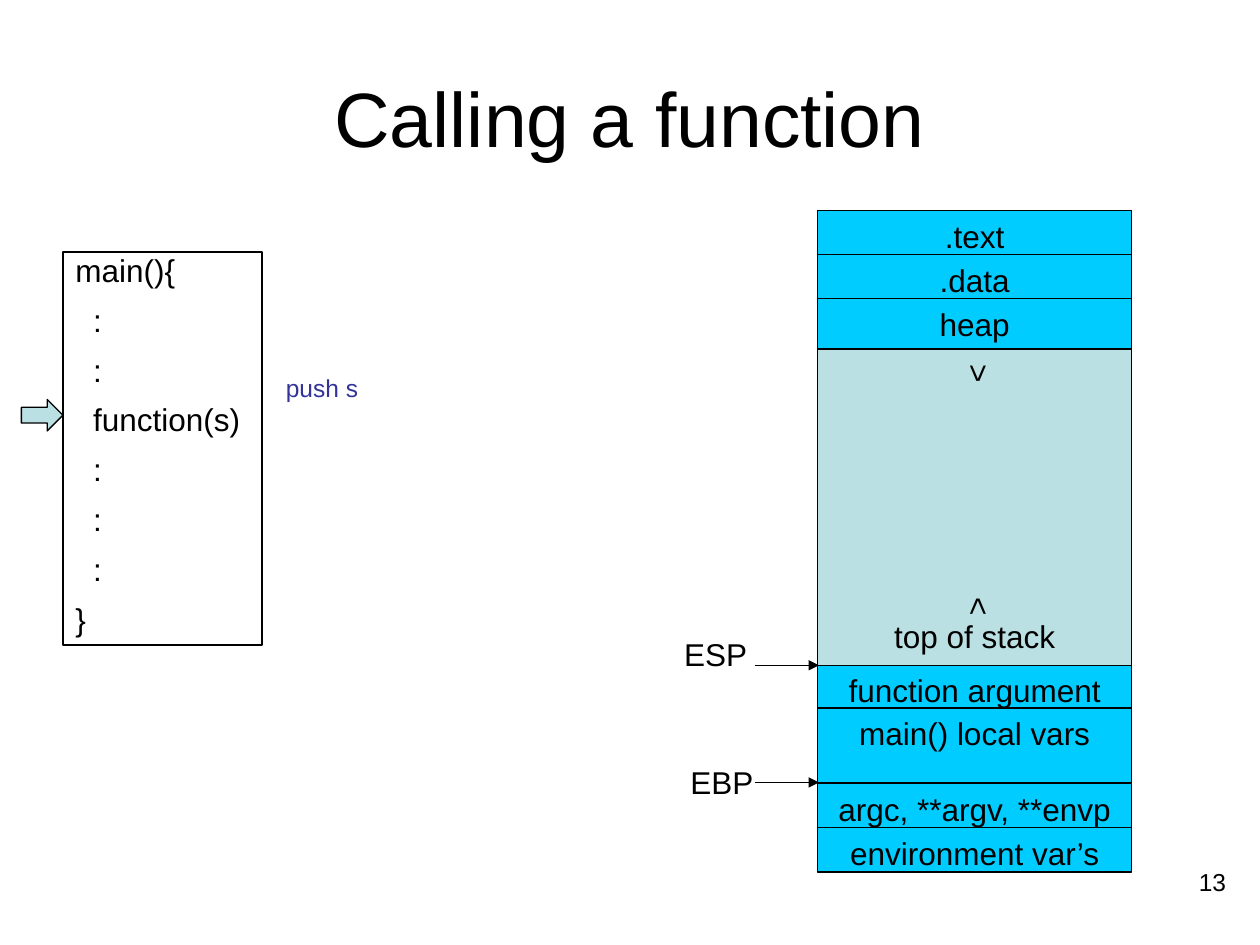
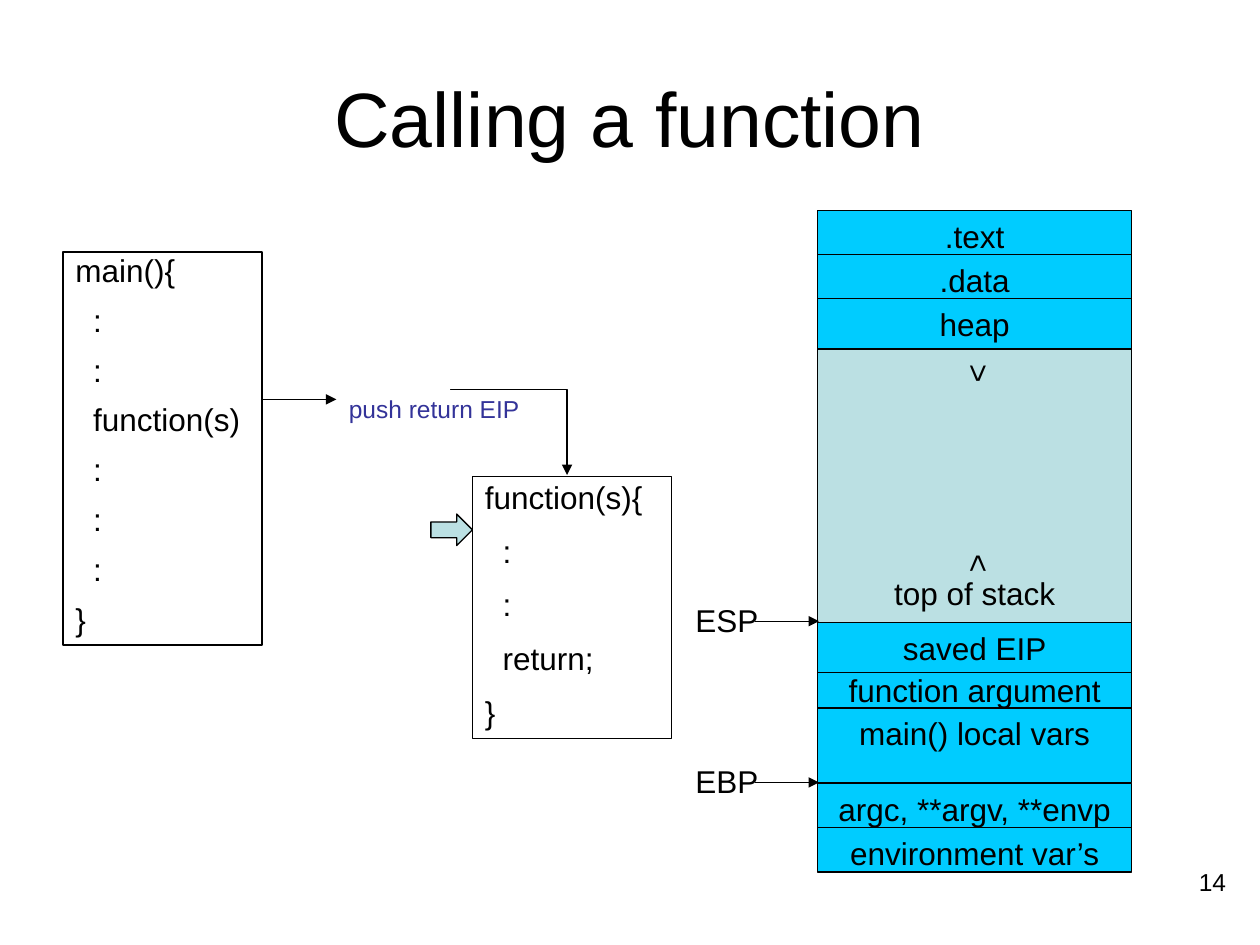
from dataclasses import dataclass

from lxml import etree
from pptx import Presentation
from pptx import util as u
from pptx.dml.color import RGBColor
from pptx.enum import shapes, text
from pptx.oxml import ns


@dataclass(frozen=True)
class Theme:
    font: str = "Arial"
    ink: str = "000000"
    note: str = "333399"
    used: str = "00CCFF"
    free: str = "BBE0E3"
    title_size: float = 44
    body_size: float = 18
    small_size: float = 14
    line_width: float = 0.75
    body_gap: float = 11.2
    small_gap: float = 8.8


THEME = Theme()
STACK_LEFT, STACK_WIDTH = 6.49, 2.49
SEGMENT_STEP, SEGMENT_HEIGHT = 0.35, 0.4
INDENT = 0.14
LEFT, CENTER, RIGHT = text.PP_ALIGN.LEFT, text.PP_ALIGN.CENTER, text.PP_ALIGN.RIGHT


@dataclass(frozen=True)
class Box:
    left: float
    top: float
    width: float
    height: float

    def lengths(self) -> tuple:
        return tuple(u.Inches(v) for v in (self.left, self.top, self.width, self.height))


@dataclass(frozen=True)
class Style:
    align: text.PP_ALIGN = CENTER
    size: float = THEME.body_size
    color: str = THEME.ink
    gap: float = THEME.body_gap
    spacing: float = 1.0
    grow: bool = True
    wrap: bool = True


@dataclass(frozen=True)
class Segment:
    label: str
    top: float
    height: float = SEGMENT_HEIGHT
    grow: bool = True


@dataclass(frozen=True)
class Listing:
    box: Box
    head: str
    body: tuple
    spacing: float


@dataclass(frozen=True)
class Pointer:
    label: str
    label_left: float
    label_top: float
    line_y: float


@dataclass(frozen=True)
class Step:
    number: int
    listings: tuple
    marker: Box
    note: str
    note_box: Box
    stack_top: float
    pushed: tuple
    pointers: tuple


NUMBER_STYLE = Style(align=RIGHT, size=THEME.small_size, gap=0, grow=False)
NOTE_STYLE = Style(align=LEFT, size=THEME.small_size, color=THEME.note,
                   gap=THEME.small_gap, spacing=0.3)

LOADED = tuple(Segment(label, 1.67 + i * SEGMENT_STEP)
               for i, label in enumerate((".text", ".data", "heap")))
STARTUP = tuple(Segment(label, 6.22 + i * SEGMENT_STEP, SEGMENT_STEP, False)
                for i, label in enumerate(("argc, **argv, **envp", "environment var’s")))
ARGUMENT = Segment("function argument", 5.28)
SAVED_EIP = Segment("saved EIP", 4.94)
LOCALS = Segment("main() local vars", 5.62, 0.59, False)

CALLER = Listing(Box(0.5, 2, 1.58, 3.12), "main(){",
                 (":", ":", "function(s)", ":", ":", ":"), 0.8)
CALLEE = Listing(Box(3.75, 3.78, 1.58, 2.08), "function(s){",
                 (":", ":", "return;"), 0.9)

STEPS = (
    Step(13, (CALLER,), Box(0.17, 3.17, 0.33, 0.25),
         "push s", Box(2.17, 3.05, 1.08, 0.17), 5.28, (ARGUMENT, LOCALS),
         (Pointer("ESP", 5.33, 4.99, 5.28), Pointer("EBP", 5.38, 6.01, 6.21))),
    Step(14, (CALLER, CALLEE), Box(3.42, 4.08, 0.33, 0.25),
         "push return EIP", Box(2.67, 3.22, 1.75, 0.17), 4.94,
         (ARGUMENT, SAVED_EIP, LOCALS),
         (Pointer("ESP", 5.42, 4.72, 4.93), Pointer("EBP", 5.42, 6, 6.21))),
)


def add_run(paragraph, words: str, size: float, color: str) -> None:
    run = paragraph.add_run()
    run.text = words
    run.font.name = THEME.font
    run.font.size = u.Pt(size)
    run.font.color.rgb = RGBColor.from_string(color)


def write(frame, lines: tuple, style: Style, indented: range = range(0)) -> None:
    frame.word_wrap = style.wrap
    frame.vertical_anchor = text.MSO_ANCHOR.TOP
    frame.auto_size = (text.MSO_AUTO_SIZE.SHAPE_TO_FIT_TEXT if style.grow
                       else text.MSO_AUTO_SIZE.NONE)
    for i, words in enumerate(lines):
        paragraph = frame.add_paragraph() if i else frame.paragraphs[0]
        paragraph.alignment = style.align
        paragraph.space_before = u.Pt(style.gap)
        paragraph.line_spacing = style.spacing
        if i in indented:
            paragraph._p.get_or_add_pPr().set("marL", str(u.Inches(INDENT)))
        add_run(paragraph, words, style.size, style.color)


def add_block(slide, box: Box, fill: str | None = None,
              kind: shapes.MSO_SHAPE = shapes.MSO_SHAPE.RECTANGLE):
    block = slide.shapes.add_shape(kind, *box.lengths())
    block.shadow.inherit = False
    if fill:
        block.fill.solid()
        block.fill.fore_color.rgb = RGBColor.from_string(fill)
    else:
        block.fill.background()
    block.line.color.rgb = RGBColor.from_string(THEME.ink)
    block.line.width = u.Pt(THEME.line_width)
    return block


def add_label(slide, words: str, box: Box, style: Style = Style()):
    label = slide.shapes.add_textbox(*box.lengths())
    write(label.text_frame, (words,), style)
    return label


def add_growth_mark(slide, sign: str, top: float) -> None:
    mark = add_label(slide, sign, Box(7.48, top, 0.5, 0.35), Style(align=LEFT))
    frame = mark.text_frame
    frame.margin_left = frame.margin_right = u.Inches(0.05)
    frame.margin_top = frame.margin_bottom = u.Inches(0.1)
    frame._txBody.bodyPr.set("vert", "eaVert")


def add_arrow(slide, start: tuple, end: tuple,
              kind: shapes.MSO_CONNECTOR = shapes.MSO_CONNECTOR.STRAIGHT):
    arrow = slide.shapes.add_connector(kind, *(u.Inches(v) for v in (*start, *end)))
    arrow.line.color.rgb = RGBColor.from_string(THEME.ink)
    arrow.line.width = u.Pt(THEME.line_width)
    etree.SubElement(arrow.line._get_or_add_ln(), ns.qn("a:tailEnd"), type="triangle")
    etree.SubElement(arrow._element.spPr, ns.qn("a:effectLst"))
    return arrow


def add_call_path(slide) -> None:
    add_arrow(slide, (2.08, 3.17), (2.67, 3.17))
    jump = add_arrow(slide, (4.38, 2.97), (3.7, 3.89), shapes.MSO_CONNECTOR.ELBOW)
    properties = jump._element.spPr
    properties.find(ns.qn("a:xfrm")).set("rot", "16200000")
    adjustments = properties.find(ns.qn("a:prstGeom")).find(ns.qn("a:avLst"))
    etree.SubElement(adjustments, ns.qn("a:gd"), name="adj1", fmla="val -200")


def add_listing(slide, listing: Listing) -> None:
    lines = (listing.head, *listing.body, "}")
    block = add_block(slide, listing.box)
    write(block.text_frame, lines, Style(align=LEFT, spacing=listing.spacing),
          range(1, len(lines) - 1))


def add_segment(slide, segment: Segment) -> None:
    block = add_block(slide, Box(STACK_LEFT, segment.top, STACK_WIDTH, segment.height),
                      THEME.used)
    write(block.text_frame, (segment.label,), Style(grow=segment.grow))


def add_stack(slide, step: Step) -> None:
    free_top = 2.72
    add_block(slide, Box(STACK_LEFT, free_top, STACK_WIDTH, step.stack_top - free_top),
              THEME.free)
    for segment in LOADED:
        add_segment(slide, segment)
    add_label(slide, "top of stack",
              Box(STACK_LEFT, step.stack_top - 0.43, STACK_WIDTH, SEGMENT_HEIGHT))
    add_growth_mark(slide, "<", step.stack_top - 0.64)
    add_growth_mark(slide, ">", 2.79)
    for pointer in step.pointers:
        add_label(slide, pointer.label,
                  Box(pointer.label_left, pointer.label_top, 0.7, 0.4), Style(wrap=False))
        add_arrow(slide, (5.99, pointer.line_y), (6.5, pointer.line_y))
    for segment in (*STARTUP, *step.pushed):
        add_segment(slide, segment)


def add_title(slide, words: str) -> None:
    title = slide.shapes.title
    title.left, title.top, title.width, title.height = Box(0.5, 0.3, 9, 1.25).lengths()
    title.text_frame.vertical_anchor = text.MSO_ANCHOR.MIDDLE
    heading = title.text_frame.paragraphs[0]
    heading.alignment = CENTER
    add_run(heading, words, THEME.title_size, THEME.ink)


def add_step(deck, step: Step) -> None:
    slide = deck.slides.add_slide(deck.slide_layouts[5])
    add_title(slide, "Calling a function")
    for listing in step.listings:
        add_listing(slide, listing)
    if CALLEE in step.listings:
        add_call_path(slide)
    add_label(slide, step.note, step.note_box, NOTE_STYLE)
    add_label(slide, str(step.number), Box(7.5, 6.83, 2.33, 0.52), NUMBER_STYLE)
    add_block(slide, step.marker, THEME.free, shapes.MSO_SHAPE.RIGHT_ARROW)
    add_stack(slide, step)


def main() -> None:
    deck = Presentation()
    deck.slide_width, deck.slide_height = u.Inches(10), u.Inches(7.5)
    for step in STEPS:
        add_step(deck, step)
    deck.save("out.pptx")


if __name__ == "__main__":
    main()
